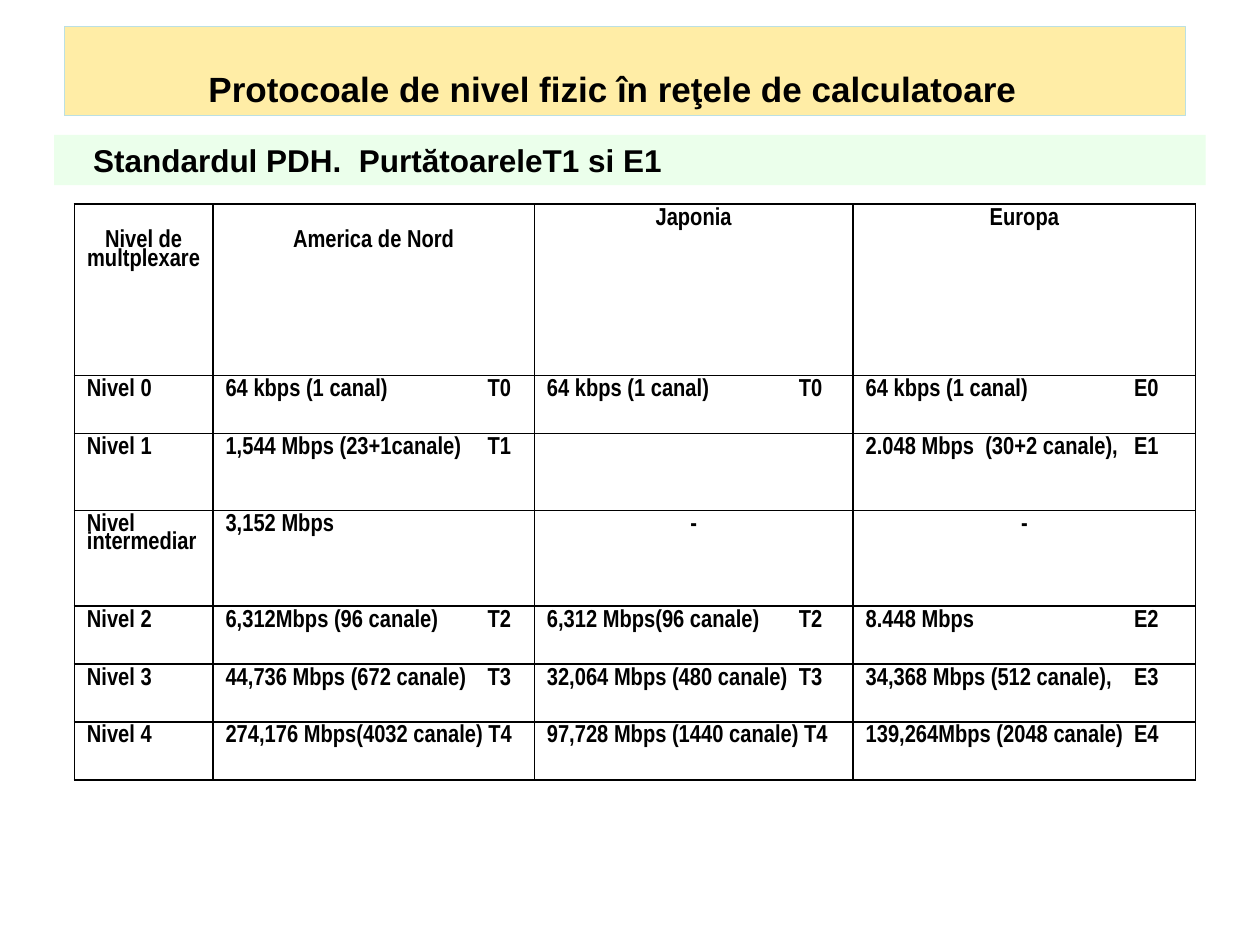
from lxml.etree import SubElement
from pptx import Presentation
from pptx.dml.color import RGBColor
from pptx.enum.shapes import MSO_SHAPE as Shape
from pptx.enum.text import MSO_ANCHOR as Anchor, PP_ALIGN as Align
from pptx.oxml.ns import qn
from pptx.util import Inches, Pt

INK = "000000"
COLS = [1.1, 2.55, 2.53, 2.72]
ROWS = [1.36, 0.46, 0.61, 0.76, 0.46, 0.46, 0.46]
TABS = [None, 2.08, 2, 2.13]
LINE = 0.18  # height of one table text line
DATA = [
    ["Nivel de multplexare", "America de Nord", "Japonia", "Europa"],
    ["Nivel 0", "64 kbps (1 canal)\tT0", "64 kbps (1 canal)\tT0",
     "64 kbps (1 canal)\tE0"],
    ["Nivel 1", "1,544 Mbps (23+1canale)\tT1", "",
     "2.048 Mbps  (30+2 canale),\tE1"],
    ["Nivel intermediar", "3,152 Mbps", "-", "-"],
    ["Nivel 2", "6,312Mbps (96 canale)\tT2", "6,312 Mbps(96 canale)\tT2",
     "8.448 Mbps\tE2"],
    ["Nivel 3", "44,736 Mbps (672 canale)\tT3", "32,064 Mbps (480 canale)\tT3",
     "34,368 Mbps (512 canale),\tE3"],
    ["Nivel 4", "274,176 Mbps(4032 canale) T4", "97,728 Mbps (1440 canale) T4",
     "139,264Mbps (2048 canale)\tE4"],
]


def color(code):
    return RGBColor.from_string(code)


class Deck:
    def __init__(self):
        self.prs = Presentation()
        self.prs.slide_width = Inches(10)
        self.prs.slide_height = Inches(7.5)
        self.slide = self.prs.slides.add_slide(self.prs.slide_layouts[6])

    def style(self, para, face, size, align):
        para.alignment = align
        for run in para.runs:
            run.font.name = face
            run.font.size = Pt(size)
            run.font.bold = True
            run.font.color.rgb = color(INK)

    def bar(self, text, box, fill, alpha, size, align, anchor, edge=None,
            left=0.1, right=0.1):
        """Add a see-through band with one line of text."""
        bar = self.slide.shapes.add_shape(Shape.RECTANGLE, *map(Inches, box))
        bar.shadow.inherit = False
        bar.fill.solid()
        bar.fill.fore_color.rgb = color(fill)
        tint = bar.fill._xPr.find(qn("a:solidFill"))[0]
        SubElement(tint, qn("a:alpha"), val=str(alpha * 1000))
        if edge:
            bar.line.color.rgb = color(edge)
            bar.line.width = Pt(0.75)
        else:
            bar.line.fill.background()
        frame = bar.text_frame
        frame.word_wrap = True
        frame.vertical_anchor = anchor
        frame.margin_left, frame.margin_right = Inches(left), Inches(right)
        frame.text = text
        self.style(frame.paragraphs[0], "Arial", size, align)

    def border(self, cell):
        props = cell._tc.get_or_add_tcPr()
        for i, side in enumerate(("lnL", "lnR", "lnT", "lnB")):
            line = props.makeelement(qn("a:" + side), {"w": str(Pt(1))})
            fill = SubElement(line, qn("a:solidFill"))
            SubElement(fill, qn("a:srgbClr"), val=INK)
            props.insert(i, line)

    def cell(self, cell, text, align, tab):
        cell.fill.background()
        self.border(cell)
        cell.text = text
        para = cell.text_frame.paragraphs[0]
        para.line_spacing = 0.8
        if "\t" in text:
            tabs = SubElement(para._p.get_or_add_pPr(), qn("a:tabLst"))
            SubElement(tabs, qn("a:tab"), pos=str(Inches(tab)), algn="l")
        self.style(para, "Arial Narrow", 14, align)

    def table(self, data, left, top):
        size = sum(COLS), sum(ROWS)
        table = self.slide.shapes.add_table(
            len(ROWS), len(COLS), *map(Inches, (left, top, *size))).table
        table.first_row = table.horz_banding = False
        for col, width in zip(table.columns, COLS):
            col.width = Inches(width)
        for r, (row, height) in enumerate(zip(data, ROWS)):
            table.rows[r].height = Inches(height)
            for c, text in enumerate(row):
                mid = r == 0 or text == "-"
                self.cell(table.cell(r, c), text,
                          Align.CENTER if mid else Align.JUSTIFY, TABS[c])
        for c in (0, 1):
            table.cell(0, c).margin_top = Inches(0.05 + LINE)


def main():
    deck = Deck()
    deck.bar("Protocoale de nivel fizic în reţele de calculatoare",
             (0.51, 0.21, 8.9, 0.71), "FFCC00", 35, 20, Align.CENTER,
             Anchor.BOTTOM, edge="BBE0E3", right=0.29)
    deck.bar("Standardul PDH.  PurtătoareleT1 si E1", (0.43, 1.07, 9.14, 0.4),
             "CCFFCC", 39, 18, Align.LEFT, Anchor.TOP, left=0.31)
    deck.table(DATA, 0.59, 1.62)
    deck.prs.save("out.pptx")


if __name__ == "__main__":
    main()
